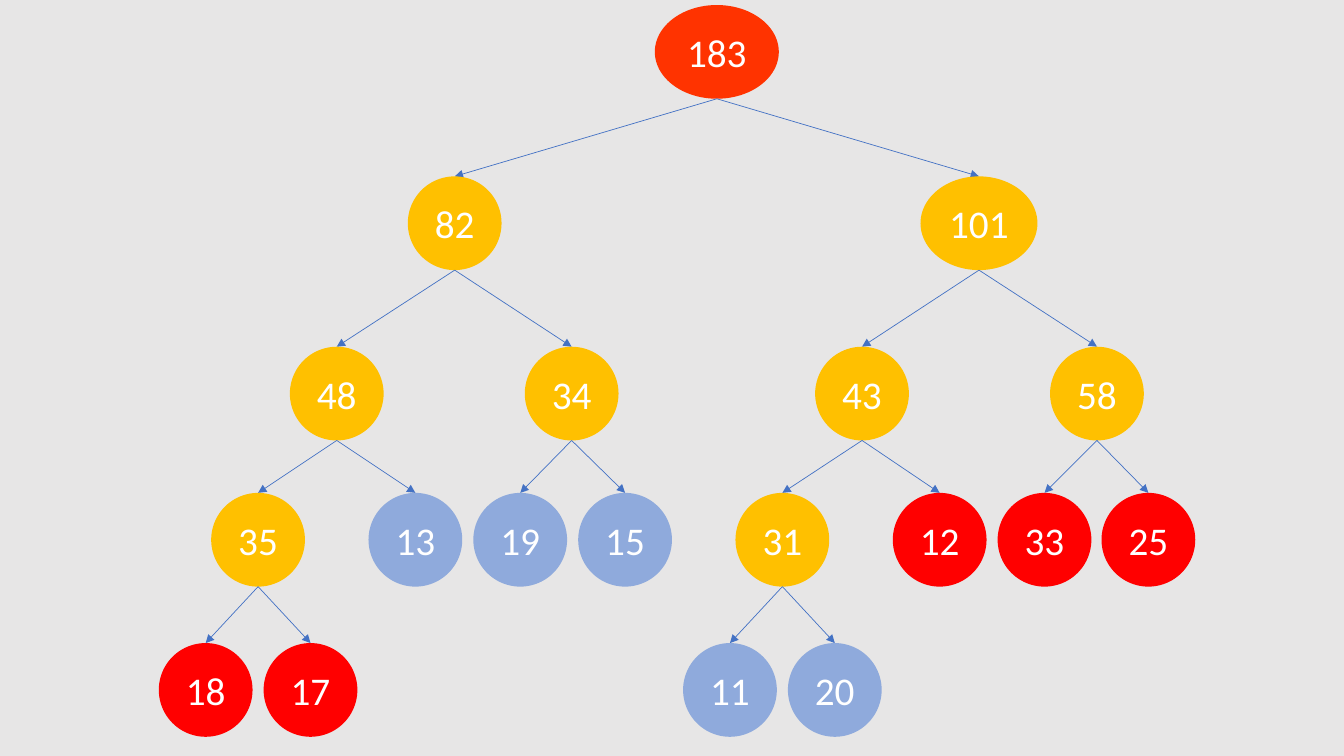
"""Build a slide showing a binary tree of summed values."""
from dataclasses import dataclass

from lxml.etree import SubElement
from pptx import Presentation
from pptx.dml.color import RGBColor
from pptx.enum.shapes import MSO_CONNECTOR, MSO_SHAPE
from pptx.enum.text import MSO_ANCHOR, PP_ALIGN
from pptx.oxml.ns import qn
from pptx.slide import Slide
from pptx.util import Inches, Pt

ROOT, BRANCH, RED_LEAF, BLUE_LEAF = "FF3300", "FFC000", "FF0000", "8FAADC"
BACKGROUND, ARROW, TEXT = "E7E6E6", "4472C4", "FFFFFF"
DIAMETER = 0.93
LEVEL_TOPS = (0.05, 1.75, 3.44, 4.89, 6.38)
FRAME_FORMAT = {
    "word_wrap": True,
    "vertical_anchor": MSO_ANCHOR.MIDDLE,
    "margin_left": 0,
    "margin_right": 0,
}
FONT_FORMAT = {"name": "Calibri", "size": Pt(28)}


@dataclass(frozen=True)
class Node:
    """A tree node, placed by its centre and its level."""

    value: int
    center: float
    level: int
    fill: str
    children: tuple["Node", ...] = ()
    width: float = DIAMETER

    @property
    def top(self) -> float:
        """Return the upper edge in inches."""
        return LEVEL_TOPS[self.level]


TREE = Node(183, 7.11, 0, ROOT, (
    Node(82, 4.51, 1, BRANCH, (
        Node(48, 3.34, 2, BRANCH, (
            Node(35, 2.56, 3, BRANCH, (
                Node(18, 2.04, 4, RED_LEAF),
                Node(17, 3.08, 4, RED_LEAF),
            )),
            Node(13, 4.12, 3, BLUE_LEAF),
        )),
        Node(34, 5.67, 2, BRANCH, (
            Node(19, 5.16, 3, BLUE_LEAF),
            Node(15, 6.2, 3, BLUE_LEAF),
        )),
    )),
    Node(101, 9.71, 1, BRANCH, (
        Node(43, 8.55, 2, BRANCH, (
            Node(31, 7.76, 3, BRANCH, (
                Node(11, 7.24, 4, BLUE_LEAF),
                Node(20, 8.28, 4, BLUE_LEAF),
            )),
            Node(12, 9.32, 3, RED_LEAF),
        )),
        Node(58, 10.88, 2, BRANCH, (
            Node(33, 10.36, 3, RED_LEAF),
            Node(25, 11.39, 3, RED_LEAF),
        )),
    ), width=1.16),
), width=1.23)


def paint(target, color: str) -> None:
    """Give a fill a solid colour."""
    target.solid()
    target.fore_color.rgb = RGBColor.from_string(color)


def apply_format(target, values: dict) -> None:
    """Set every attribute named in the format values."""
    for name, value in values.items():
        setattr(target, name, value)


def draw_node(page: Slide, node: Node) -> None:
    """Draw one ellipse with its value."""
    ellipse = page.shapes.add_shape(
        MSO_SHAPE.OVAL, Inches(node.center - node.width / 2), Inches(node.top),
        Inches(node.width), Inches(DIAMETER))
    ellipse.shadow.inherit = False
    paint(ellipse.fill, node.fill)
    ellipse.line.fill.background()
    apply_format(ellipse.text_frame, FRAME_FORMAT)
    para = ellipse.text_frame.paragraphs[0]
    para.alignment = PP_ALIGN.CENTER
    span = para.add_run()
    span.text = str(node.value)
    apply_format(span.font, FONT_FORMAT)
    paint(span.font.fill, TEXT)


def draw_arrow(page: Slide, parent: Node, child: Node) -> None:
    """Draw an arrow from the foot of a parent to the top of a child."""
    arrow = page.shapes.add_connector(
        MSO_CONNECTOR.STRAIGHT, Inches(parent.center), Inches(parent.top + DIAMETER),
        Inches(child.center), Inches(child.top))
    arrow.line.width = Pt(0.5)
    paint(arrow.line.fill, ARROW)
    SubElement(arrow.line._get_or_add_ln(), qn("a:tailEnd"), type="triangle")
    SubElement(arrow._element.spPr, qn("a:effectLst"))


def draw_tree(page: Slide, node: Node) -> None:
    """Draw a node, then its arrows and subtrees."""
    draw_node(page, node)
    for child in node.children:
        draw_arrow(page, node, child)
        draw_tree(page, child)


def main() -> None:
    """Create the deck and save it."""
    deck = Presentation()
    apply_format(deck, {"slide_width": Inches(13.33), "slide_height": Inches(7.5)})
    page = deck.slides.add_slide(deck.slide_layouts[6])
    paint(page.background.fill, BACKGROUND)
    draw_tree(page, TREE)
    deck.save("out.pptx")


main()
